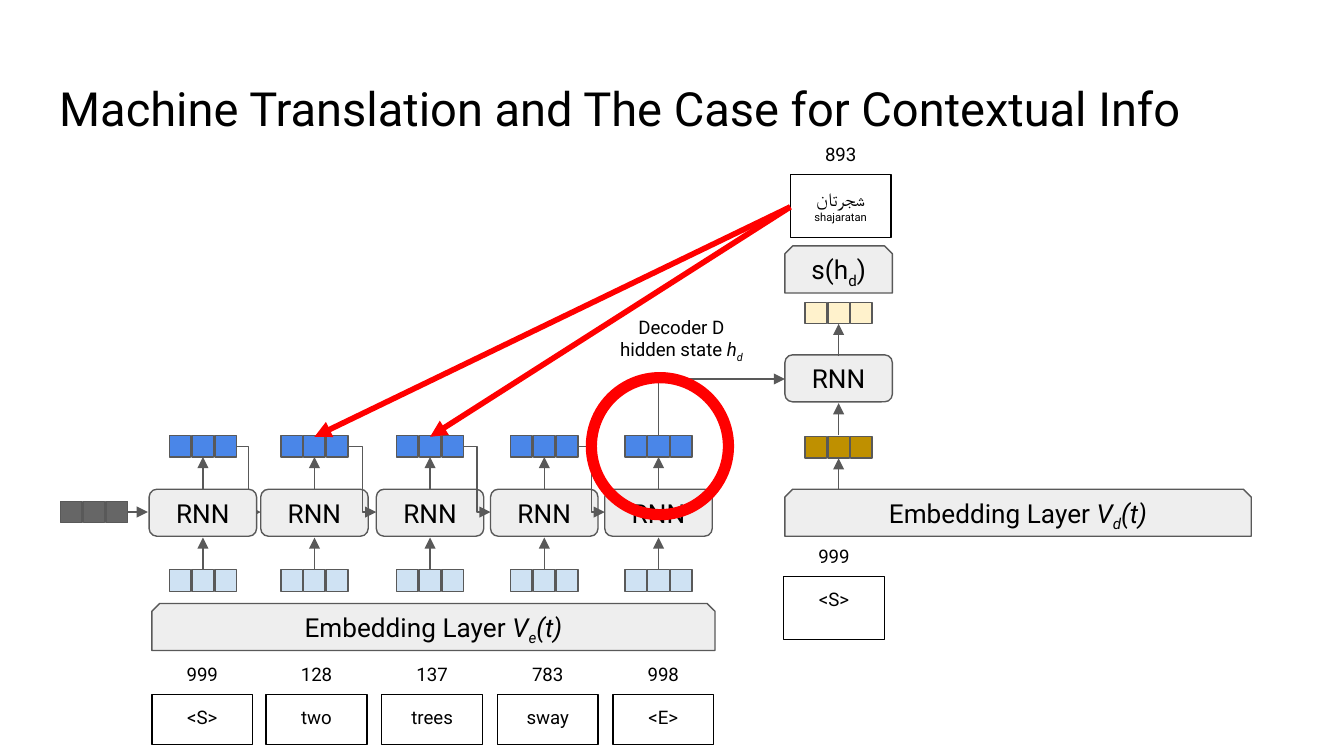
from dataclasses import dataclass

import pptx
import pptx.dml.color
import pptx.enum.shapes
import pptx.enum.text
import pptx.oxml.ns
import pptx.util
from lxml import etree

SCALE = 9144  # EMU per px, 100 px to the inch
SHAPE = pptx.enum.shapes.MSO_SHAPE
CONNECTOR = pptx.enum.shapes.MSO_CONNECTOR
ALIGN = pptx.enum.text.PP_ALIGN
ANCHOR = pptx.enum.text.MSO_ANCHOR
FIT = pptx.enum.text.MSO_AUTO_SIZE
qn = pptx.oxml.ns.qn


@dataclass(frozen=True)
class Theme:
    font: str = "Roboto"
    title: float = 25.2
    block: int = 14
    label: int = 10
    small: int = 6
    ink: str = "000000"
    outline: str = "595959"
    block_fill: str = "EEEEEE"
    hidden: str = "4A86E8"
    embedded: str = "CFE2F3"
    initial: str = "666666"
    decoder_input: str = "BF9000"
    decoder_output: str = "FFF2CC"
    highlight: str = "FF0000"
    thin: float = 0.75
    arrow: int = 3
    ring: int = 6


def px(*lengths):
    return [pptx.util.Emu(length * SCALE) for length in lengths]


def rgb(value):
    return pptx.dml.color.RGBColor.from_string(value)


def write_text(frame, *paragraphs, font, size, color, align=ALIGN.CENTER,
               anchor=ANCHOR.TOP, fit=FIT.NONE):
    """Each paragraph is a string or a list of (text, format) runs."""
    frame.word_wrap = True
    frame.auto_size = fit
    frame.vertical_anchor = anchor
    inset, = px(10)
    frame.margin_left = frame.margin_right = frame.margin_top = frame.margin_bottom = inset
    for index, content in enumerate(paragraphs):
        paragraph = frame.add_paragraph() if index else frame.paragraphs[0]
        paragraph.alignment = align
        runs = [(content, {})] if isinstance(content, str) else content
        for text, style in runs:
            run = paragraph.add_run()
            run.text = text
            run.font.name = font
            run.font.size = pptx.util.Pt(style.get("size", size))
            run.font.color.rgb = rgb(color)
            if style.get("italic"):
                run.font.italic = True
            if style.get("subscript"):
                run._r.get_or_add_rPr().set("baseline", "-25000")


class Diagram:
    def __init__(self, slide, theme):
        self.slide = slide
        self.theme = theme

    def format(self, size):
        return dict(font=self.theme.font, size=size, color=self.theme.ink)

    def title(self, text, *box):
        title = self.slide.shapes.title
        title.left, title.top, title.width, title.height = px(*box)
        write_text(title.text_frame, text, align=ALIGN.LEFT, **self.format(self.theme.title))

    def shape(self, kind, *box, fill=None, line=None, width=None):
        shape = self.slide.shapes.add_shape(kind, *px(*box))
        shape.shadow.inherit = False
        if fill:
            shape.fill.solid()
            shape.fill.fore_color.rgb = rgb(fill)
        else:
            shape.fill.background()
        shape.line.color.rgb = rgb(line or self.theme.outline)
        shape.line.width = pptx.util.Pt(width or self.theme.thin)
        return shape

    def block(self, kind, left, top, width, *runs):
        shape = self.shape(kind, left, top, width, 35, fill=self.theme.block_fill)
        shape.adjustments[0] = 0.167
        write_text(shape.text_frame, list(runs), anchor=ANCHOR.MIDDLE, **self.format(self.theme.block))

    def rnn(self, center, top):
        self.block(SHAPE.ROUNDED_RECTANGLE, center - 40, top, 80, ("RNN", {}))

    def embedding(self, left, top, width, subscript):
        self.block(SHAPE.SNIP_2_SAME_RECTANGLE, left, top, width, ("Embedding Layer ", {}),
                   ("V", {"italic": True}), (subscript, {"italic": True, "subscript": True}),
                   ("(t)", {"italic": True}))

    def vector(self, left, top, fill):
        for index in range(3):
            self.shape(SHAPE.RECTANGLE, left + 17 * index, top, 16, 16, fill=fill)

    def small_text(self, shape, *paragraphs):
        write_text(shape.text_frame, *paragraphs, fit=FIT.SHAPE_TO_FIT_TEXT,
                   **self.format(self.theme.label))

    def label(self, left, top, width, height, *paragraphs):
        box = self.slide.shapes.add_textbox(*px(left, top, width, height))
        self.small_text(box, *paragraphs)

    def token(self, left, top, height, number, *word):
        self.label(left, top - 32, 75, 37, number)
        box = self.shape(SHAPE.RECTANGLE, left, top, 75, height, line=self.theme.ink)
        self.small_text(box, *word)

    def arrow(self, *ends, kind=CONNECTOR.STRAIGHT, color=None, width=None):
        connector = self.slide.shapes.add_connector(kind, *px(*ends))
        connector.line.color.rgb = rgb(color or self.theme.outline)
        connector.line.width = pptx.util.Pt(width or self.theme.thin)
        properties = connector._element.spPr
        etree.SubElement(properties.find(qn("a:ln")), qn("a:tailEnd"), type="triangle")
        etree.SubElement(properties, qn("a:effectLst"))
        return connector

    def corner_arrow(self, from_x, from_y, to_x, to_y):
        """Arrow that goes up and then right: a one-bend connector turned by 270 degrees."""
        across, up = to_x - from_x, from_y - to_y
        left = (from_x + to_x - up) // 2
        top = (from_y + to_y - across) // 2
        connector = self.arrow(left, top, left + up, top + across, kind=CONNECTOR.ELBOW)
        properties = connector._element.spPr
        properties.find(qn("a:xfrm")).set("rot", "16200000")
        properties.find(qn("a:prstGeom")).set("prst", "bentConnector2")


def main():
    theme = Theme()
    presentation = pptx.Presentation()
    presentation.slide_width, = px(1000)
    presentation.slide_height = presentation.slide_width * 9 // 16
    slide = presentation.slides.add_slide(presentation.slide_layouts[5])
    diagram = Diagram(slide, theme)
    diagram.title("Machine Translation and The Case for Contextual Info", 34, 49, 932, 63)

    # Encoder: one column per source token
    centers = (151, 234, 320, 405, 490)
    tokens = (("999", "<S>"), ("128", "two"), ("137", "trees"), ("783", "sway"), ("998", "<E>"))
    diagram.embedding(113, 449, 419, "e")
    for index, (number, word) in enumerate(tokens):
        diagram.token(113 + 343 * index // 4, 517, 37, number, word)
        diagram.vector(centers[index] - 25, 424, theme.embedded)
    for index in (1, 0, 2, 3, 4):  # the first cell covers the arrow that leaves it
        center = centers[index]
        diagram.vector(center - 25, 324, theme.hidden)
        diagram.rnn(center, 364)
        diagram.arrow(center, 424, center, 400)
        diagram.arrow(center, 364, center, 340)
        if index:
            diagram.arrow(centers[index - 1] + 25, 332, center - 40, 381, kind=CONNECTOR.ELBOW)
    diagram.vector(45, 373, theme.initial)
    diagram.arrow(95, 381, 110, 381)

    # Decoder: a single column
    decoder = 624
    diagram.token(583, 429, 47, "999", "<S>")
    diagram.arrow(decoder, 324, decoder, 300)
    diagram.vector(decoder - 25, 325, theme.decoder_input)
    diagram.arrow(decoder, 365, decoder, 341)
    diagram.embedding(584, 364, 347, "d")
    diagram.rnn(decoder, 264)
    diagram.vector(decoder - 25, 225, theme.decoder_output)
    diagram.arrow(decoder, 265, decoder, 241)
    diagram.block(SHAPE.SNIP_2_SAME_RECTANGLE, 584, 183, 80,
                  ("s(h", {}), ("d", {"subscript": True}), (")", {}))
    diagram.token(588, 130, 47, "893", "شجرتان", [("shajaratan", {"size": theme.small})])
    diagram.corner_arrow(centers[4], 324, 584, 282)
    diagram.label(445, 225, 124, 54, [("Decoder D hidden state ", {}), ("h", {"italic": True}),
                                      ("d", {"italic": True, "subscript": True})])

    # Context the decoder needs, and the bottleneck it has instead
    for center in centers[1:3]:
        diagram.arrow(588, 154, center, 325, color=theme.highlight, width=theme.arrow)
    diagram.shape(SHAPE.OVAL, 440, 281, 102, 102, line=theme.highlight, width=theme.ring)

    presentation.save("out.pptx")


if __name__ == "__main__":
    main()
